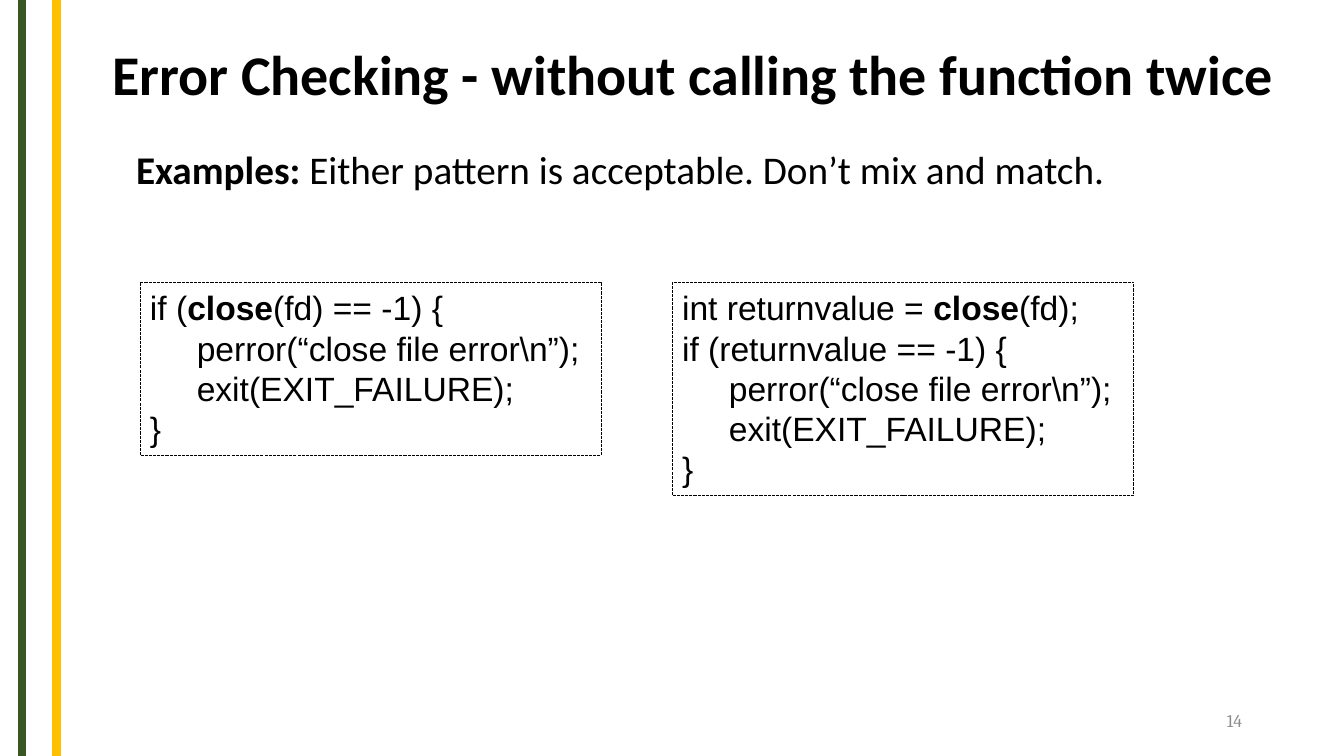
from pptx import Presentation
from pptx.dml.color import RGBColor
from pptx.enum.dml import MSO_LINE
from pptx.enum.shapes import MSO_CONNECTOR, MSO_SHAPE
from pptx.enum.text import MSO_ANCHOR, MSO_AUTO_SIZE, PP_ALIGN
from pptx.oxml.ns import qn
from pptx.util import Cm, Pt
from lxml import etree

WIDTH, HEIGHT = 33.87, 19.05
BLACK = "000000"


def color(value):
    return RGBColor.from_string(value)


def add_run(p, text, font="Calibri", size=24, fill=BLACK, bold=False):
    r = p.add_run()
    r.text = text
    r.font.name = font
    r.font.size = Pt(size)
    r.font.bold = bold
    r.font.color.rgb = color(fill)


class Deck:
    code_font = "Arial"
    code_size = 24
    code_pitch = 28.8
    code_indent = 1.18

    def __init__(self, prs):
        self.s = prs.slides.add_slide(prs.slide_layouts[5])

    def stripe(self, x, fill):
        line = self.s.shapes.add_connector(
            MSO_CONNECTOR.STRAIGHT, Cm(x), Cm(0), Cm(x), Cm(HEIGHT))
        line.line.color.rgb = color(fill)
        line.line.width = Pt(6)
        etree.SubElement(line._element.spPr, qn("a:effectLst"))

    def title(self, text, x, y, w, h):
        sp = self.s.shapes.title
        sp.left, sp.top, sp.width, sp.height = Cm(x), Cm(y), Cm(w), Cm(h)
        tf = sp.text_frame
        tf.vertical_anchor = MSO_ANCHOR.MIDDLE
        p = tf.paragraphs[0]
        p.alignment = PP_ALIGN.LEFT
        p.line_spacing = 0.9
        add_run(p, text, size=40, bold=True)

    def text(self, runs, x, y, w, h, align=PP_ALIGN.LEFT,
             anchor=MSO_ANCHOR.TOP, **style):
        sp = self.s.shapes.add_textbox(Cm(x), Cm(y), Cm(w), Cm(h))
        tf = sp.text_frame
        tf.word_wrap = True
        tf.vertical_anchor = anchor
        p = tf.paragraphs[0]
        p.alignment = align
        for text, bold in runs:
            add_run(p, text, bold=bold, **style)

    def code(self, lines, x, y, w, h):
        sp = self.s.shapes.add_shape(
            MSO_SHAPE.RECTANGLE, Cm(x), Cm(y), Cm(w), Cm(h))
        sp.shadow.inherit = False
        sp.fill.background()
        sp.line.color.rgb = color(BLACK)
        sp.line.width = Pt(0.75)
        sp.line.dash_style = MSO_LINE.SQUARE_DOT
        tf = sp.text_frame
        tf.word_wrap = True
        tf.auto_size = MSO_AUTO_SIZE.NONE
        tf.vertical_anchor = MSO_ANCHOR.TOP
        for i, (level, runs) in enumerate(lines):
            p = tf.add_paragraph() if i else tf.paragraphs[0]
            p.alignment = PP_ALIGN.LEFT
            p.line_spacing = Pt(self.code_pitch)
            p._p.get_or_add_pPr().set("marL", str(Cm(level * self.code_indent)))
            for text, bold in runs:
                add_run(p, text, self.code_font, self.code_size, bold=bold)


prs = Presentation()
prs.slide_width, prs.slide_height = Cm(WIDTH), Cm(HEIGHT)
deck = Deck(prs)

for x, fill in ((0.56, "385723"), (1.42, "FFC000")):
    deck.stripe(x, fill)

deck.title("Error Checking - without calling the function twice",
           2.57, 0.69, 30.05, 2.54)
deck.text([("14", False)], 23.93, 17.65, 7.62, 1.02, align=PP_ALIGN.RIGHT,
          anchor=MSO_ANCHOR.MIDDLE, font="Cambria", size=12.7, fill="8C8C8C")

handler = [
    (1, [("perror(“close file error\\n”);", False)]),
    (1, [("exit(EXIT_FAILURE);", False)]),
    (0, [("}", False)]),
]
inline_check = [
    (0, [("if (", False), ("close", True), ("(fd) == -1) {", False)]),
]
stored_check = [
    (0, [("int returnvalue = ", False), ("close", True), ("(fd);", False)]),
    (0, [("if (returnvalue == -1) {", False)]),
]
for x, h, check in ((3.53, 4.37, inline_check), (16.94, 5.38, stored_check)):
    deck.code(check + handler, x, 7.11, 11.63, h)

deck.text([("Examples: ", True),
           ("Either pattern is acceptable. Don’t mix and match.", False)],
          3.18, 3.53, 26.37, 1.45, size=28)

prs.save("out.pptx")
